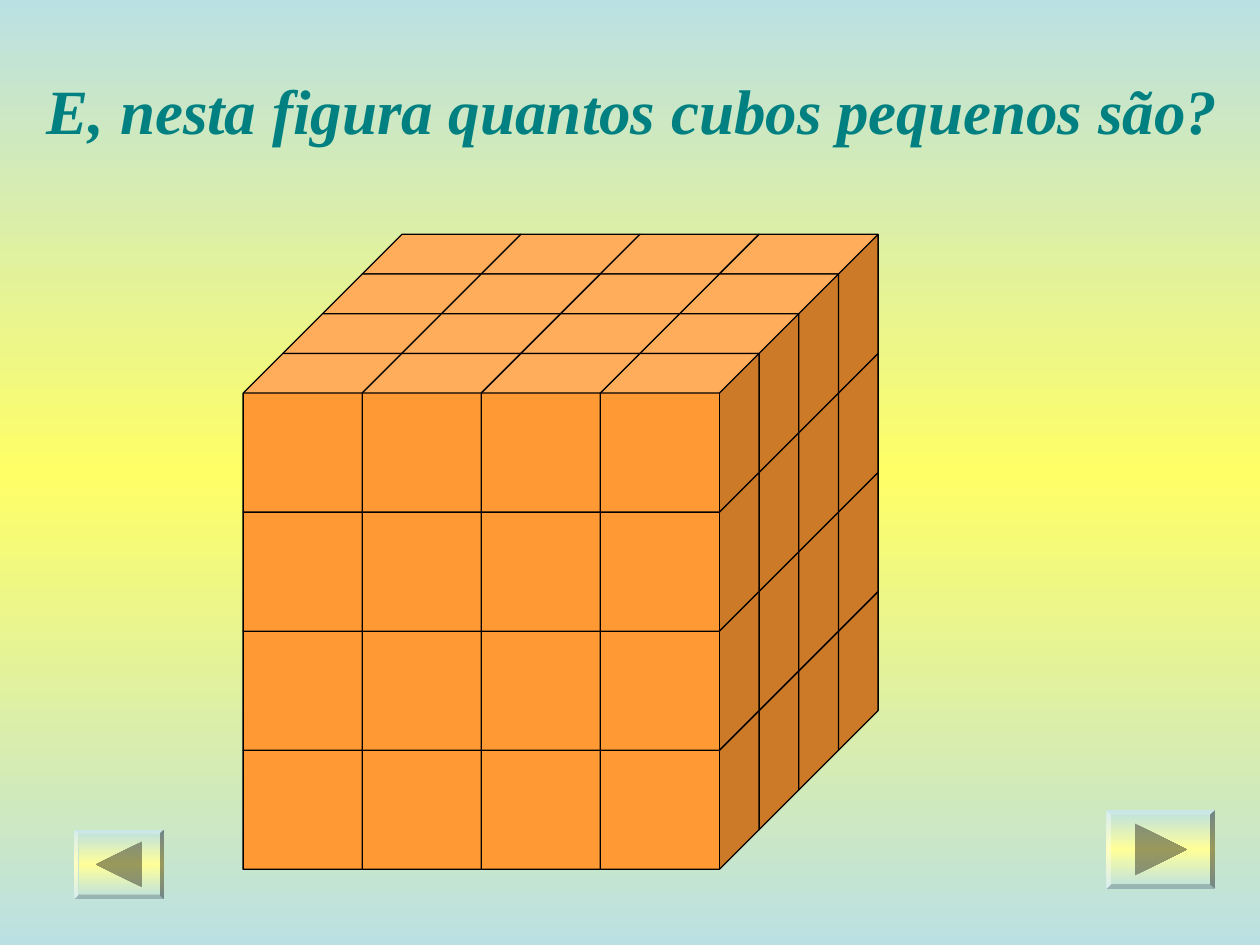
from copy import deepcopy
from dataclasses import dataclass

from pptx import Presentation
from pptx.dml.color import RGBColor
from pptx.enum.shapes import MSO_SHAPE
from pptx.enum.text import MSO_ANCHOR, MSO_AUTO_SIZE, PP_ALIGN
from pptx.oxml.ns import qn
from pptx.util import Inches, Pt

CUBE, BEVEL = MSO_SHAPE.CUBE, MSO_SHAPE.BEVEL
TOP, LEFT, FIXED = MSO_ANCHOR.TOP, PP_ALIGN.LEFT, MSO_AUTO_SIZE.NONE

WIDE, HIGH = 10, 7.5
SIDE = 4            # small cubes along each edge
LAST = SIDE - 1
SIZE = 1.26         # a small cube with its depth
DEPTH = SIZE / 4    # shift of one row towards the back
STEP = SIZE - DEPTH
CUBE_X, CUBE_Y = 1.93, 1.86


@dataclass(frozen=True)
class Theme:
    cube: str = "FF9933"
    edge: str = "000000"
    title: str = "008080"
    back: tuple = ("BBE0E3", "FFFF66", "BBE0E3")
    key: tuple = ("BBE0E3", "FFFF99", "BBE0E3")
    arrow: tuple = ("84907A", "99995C", "84907A")
    font: str = "Times New Roman"
    size: float = 36
    line: float = 0.75


@dataclass(frozen=True)
class Key:
    """A button, in hundredths of the slide; way is 1 for next, -1 for back."""
    left: float
    top: float
    width: float
    height: float
    way: int


THEME = Theme()
KEYS = (
    Key(87.8, 85.7, 8.65, 8.4, 1),
    Key(5.9, 87.8, 7.1, 7.35, -1),
)


def rgb(code: str) -> RGBColor:
    return RGBColor.from_string(code)


def blend(fill, node, tones: tuple) -> None:
    """Give a fill a vertical gradient with evenly spaced tones."""
    fill.gradient()
    fill.gradient_angle = 90
    stops = next(node.iter(qn("a:gsLst")))
    while len(stops) < len(tones):
        stops.append(deepcopy(stops[-1]))
    for i, (stop, tone) in enumerate(zip(fill.gradient_stops, tones)):
        stop.position = i / (len(tones) - 1)
        stop.color.rgb = rgb(tone)


def add_title(slide, text: str) -> None:
    title = slide.shapes.title
    place = dict(left=0.27, top=0.52, width=9.73, height=0.7)
    for name, value in place.items():
        setattr(title, name, Inches(value))
    frame = title.text_frame
    frame.text = text
    style = dict(word_wrap=True, auto_size=FIXED, vertical_anchor=TOP)
    for name, value in style.items():
        setattr(frame, name, value)
    para = frame.paragraphs[0]
    para.alignment = LEFT
    font = para.runs[0].font
    style = dict(name=THEME.font, size=Pt(THEME.size), bold=True, italic=True)
    for name, value in style.items():
        setattr(font, name, value)
    font.color.rgb = rgb(THEME.title)


def add_cube(slide, col: int, row: int, layer: int) -> None:
    """Rows count from the front, layers from the top."""
    x = CUBE_X + col * STEP + row * DEPTH
    y = CUBE_Y + layer * STEP + (LAST - row) * DEPTH
    size = Inches(SIZE)
    cube = slide.shapes.add_shape(CUBE, Inches(x), Inches(y), size, size)
    cube.adjustments[0] = 0.25
    cube.shadow.inherit = False
    cube.fill.solid()
    cube.fill.fore_color.rgb = rgb(THEME.cube)
    cube.line.color.rgb = rgb(THEME.edge)
    cube.line.width = Pt(THEME.line)


def add_stack(slide) -> None:
    """Draw the outer cubes from bottom to top and back to front."""
    for layer in reversed(range(SIDE)):
        for row in reversed(range(SIDE)):
            for col in range(SIDE):
                if layer == 0 or row == 0 or col == LAST:
                    add_cube(slide, col, row, layer)


def add_key(slide, key: Key) -> None:
    x, wide = key.left * WIDE / 100, key.width * WIDE / 100
    y, high = key.top * HIGH / 100, key.height * HIGH / 100
    base = slide.shapes.add_shape(
        BEVEL, Inches(x), Inches(y), Inches(wide), Inches(high))
    base.adjustments[0] = 0.06
    mid_x, mid_y = x + wide / 2, y + high / 2
    half = 0.33 * high
    tail = mid_x - key.way * half
    pen = slide.shapes.build_freeform(
        Inches(tail), Inches(mid_y - half))
    pen.add_line_segments([
        (Inches(mid_x + key.way * half), Inches(mid_y)),
        (Inches(tail), Inches(mid_y + half)),
    ])
    arrow = pen.convert_to_shape()
    for shape, tones in ((base, THEME.key), (arrow, THEME.arrow)):
        shape.shadow.inherit = False
        shape.line.fill.background()
        blend(shape.fill, shape.element, tones)


def main() -> None:
    deck = Presentation()
    deck.slide_width, deck.slide_height = Inches(WIDE), Inches(HIGH)
    slide = deck.slides.add_slide(deck.slide_layouts[5])
    blend(slide.background.fill, slide.element, THEME.back)
    add_title(slide, "E, nesta figura quantos cubos pequenos são?")
    add_stack(slide)
    for key in KEYS:
        add_key(slide, key)
    deck.save("out.pptx")


if __name__ == "__main__":
    main()
